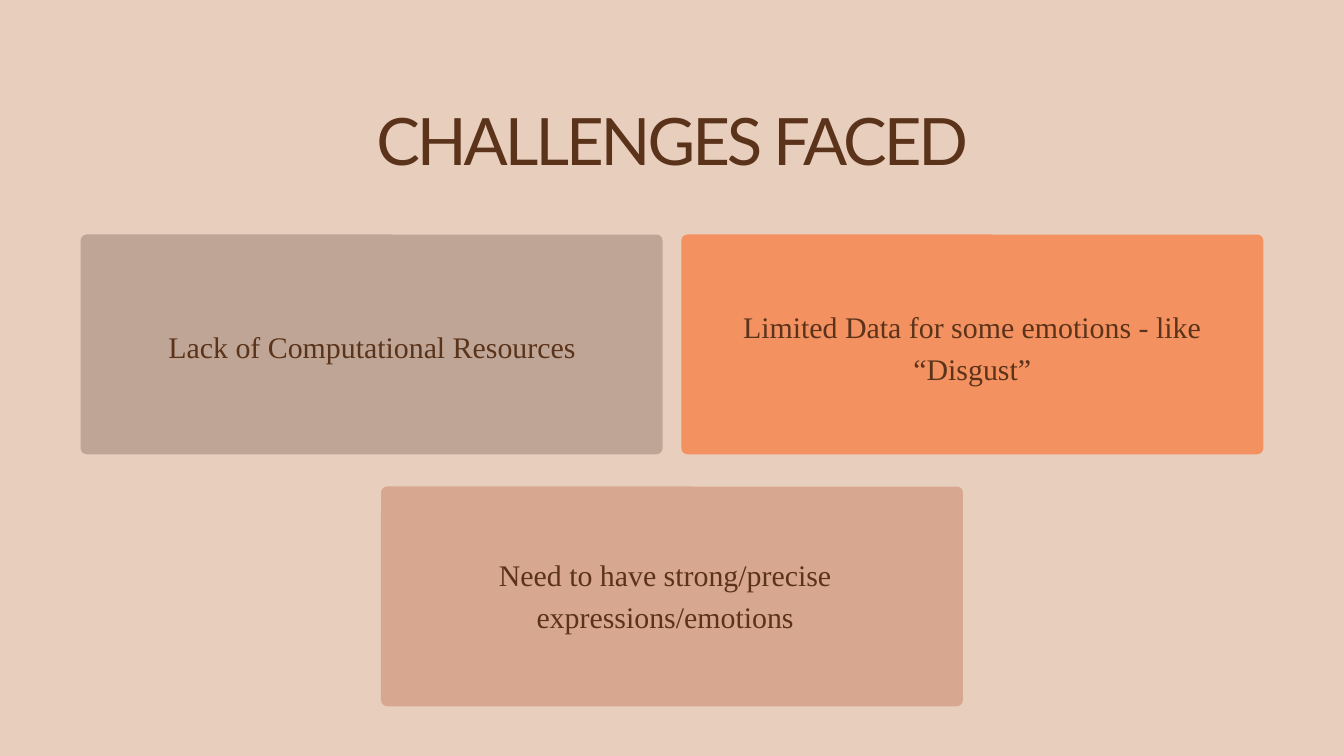
from dataclasses import dataclass

from pptx import Presentation
from pptx.dml.color import RGBColor
from pptx.enum.shapes import MSO_SHAPE
from pptx.enum.text import MSO_ANCHOR, MSO_AUTO_SIZE, PP_ALIGN
from pptx.shapes.base import BaseShape
from pptx.slide import Slide
from pptx.util import Inches, Pt


@dataclass(frozen=True)
class Theme:
    """Colours, fonts and type sizes of the slide."""
    background: str = "E8CEBD"
    ink: str = "5B331A"
    taupe: str = "BEA595"
    orange: str = "F49160"
    rose: str = "D8A790"
    title_font: str = "Lato"
    title_size: float = 70
    title_leading: float = 75.6
    title_tracking: float = -3.2
    body_font: str = "Times New Roman"
    body_size: float = 32
    body_leading: float = 44.8


@dataclass(frozen=True)
class Challenge:
    """A coloured card and the place of its label, in inches."""
    text: str
    fill: str
    left: float
    top: float
    label_left: float
    label_top: float
    label_height: float


THEME = Theme()
CARD_W, CARD_H, RADIUS = 8.66, 3.27, 0.09
LABEL_W = 7.3
CHALLENGES = [
    Challenge("Lack of Computational Resources", THEME.taupe,
              1.2, 3.49, 1.89, 4.8, 0.66),
    Challenge("Limited Data for some emotions - like “Disgust”", THEME.orange,
              10.14, 3.49, 10.82, 4.5, 1.28),
    Challenge("Need to have strong/precise expressions/emotions", THEME.rose,
              5.67, 7.24, 6.25, 8.19, 1.28),
]


def write(s: BaseShape, text: str, font: str, size: float, leading: float) -> None:
    """Fill a shape with one centred paragraph."""
    tf = s.text_frame
    frame_format = {
        "margin_left": 0, "margin_top": 0, "margin_right": 0, "margin_bottom": 0,
        "word_wrap": True, "vertical_anchor": MSO_ANCHOR.TOP,
        "auto_size": MSO_AUTO_SIZE.SHAPE_TO_FIT_TEXT,
    }
    for name, value in frame_format.items():
        setattr(tf, name, value)
    p = tf.paragraphs[0]
    p.alignment, p.line_spacing = PP_ALIGN.CENTER, Pt(leading)
    r = p.add_run()
    r.text = text
    for name, value in {"name": font, "size": Pt(size)}.items():
        setattr(r.font, name, value)
    r.font.color.rgb = RGBColor.from_string(THEME.ink)


def add_title(slide: Slide, text: str) -> None:
    """Place and format the title placeholder."""
    s = slide.shapes.title
    place = {"left": 3.79, "top": 1.6, "width": 12.43, "height": 1.08}
    for name, value in place.items():
        setattr(s, name, Inches(value))
    write(s, text, THEME.title_font, THEME.title_size, THEME.title_leading)
    r = s.text_frame.paragraphs[0].runs[0]
    r.font._element.set("spc", str(round(THEME.title_tracking * 100)))


def add_card(slide: Slide, item: Challenge) -> None:
    """Draw the rounded card of a challenge."""
    s = slide.shapes.add_shape(
        MSO_SHAPE.ROUNDED_RECTANGLE, Inches(item.left), Inches(item.top),
        Inches(CARD_W), Inches(CARD_H))
    s.adjustments[0] = RADIUS / CARD_H
    s.shadow.inherit = False
    s.fill.solid()
    s.fill.fore_color.rgb = RGBColor.from_string(item.fill)
    s.line.fill.background()


def add_label(slide: Slide, item: Challenge) -> None:
    """Write the text of a challenge over its card."""
    s = slide.shapes.add_textbox(
        Inches(item.label_left), Inches(item.label_top),
        Inches(LABEL_W), Inches(item.label_height))
    write(s, item.text, THEME.body_font, THEME.body_size, THEME.body_leading)


def main() -> None:
    """Build and save the slide."""
    prs = Presentation()
    prs.slide_width, prs.slide_height = Inches(20), Inches(11.25)
    slide = prs.slides.add_slide(prs.slide_layouts.get_by_name("Title Only"))
    fill = slide.background.fill
    fill.solid()
    fill.fore_color.rgb = RGBColor.from_string(THEME.background)
    add_title(slide, "CHALLENGES FACED")
    for draw in (add_card, add_label):
        for item in CHALLENGES:
            draw(slide, item)
    prs.save("out.pptx")


if __name__ == "__main__":
    main()
